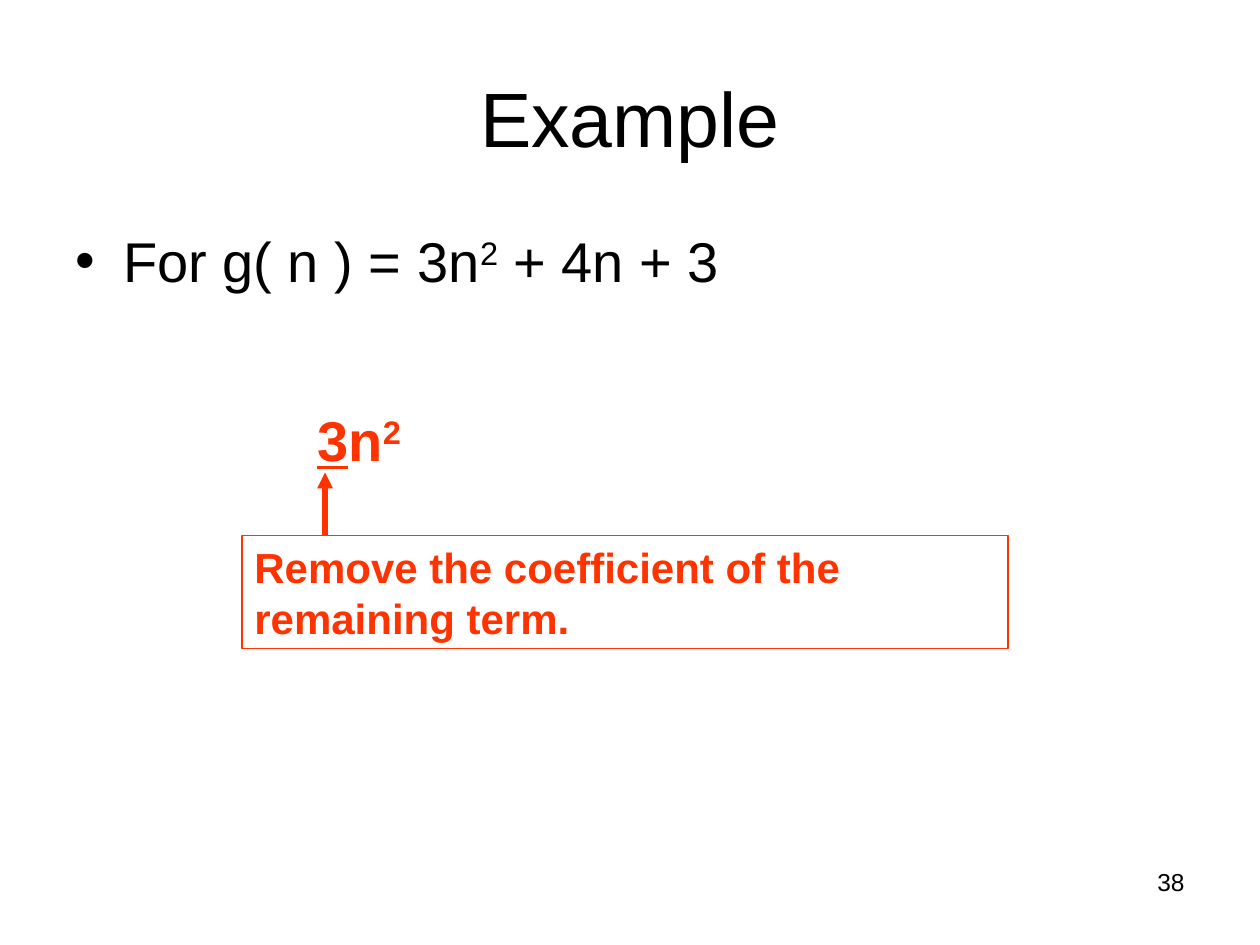
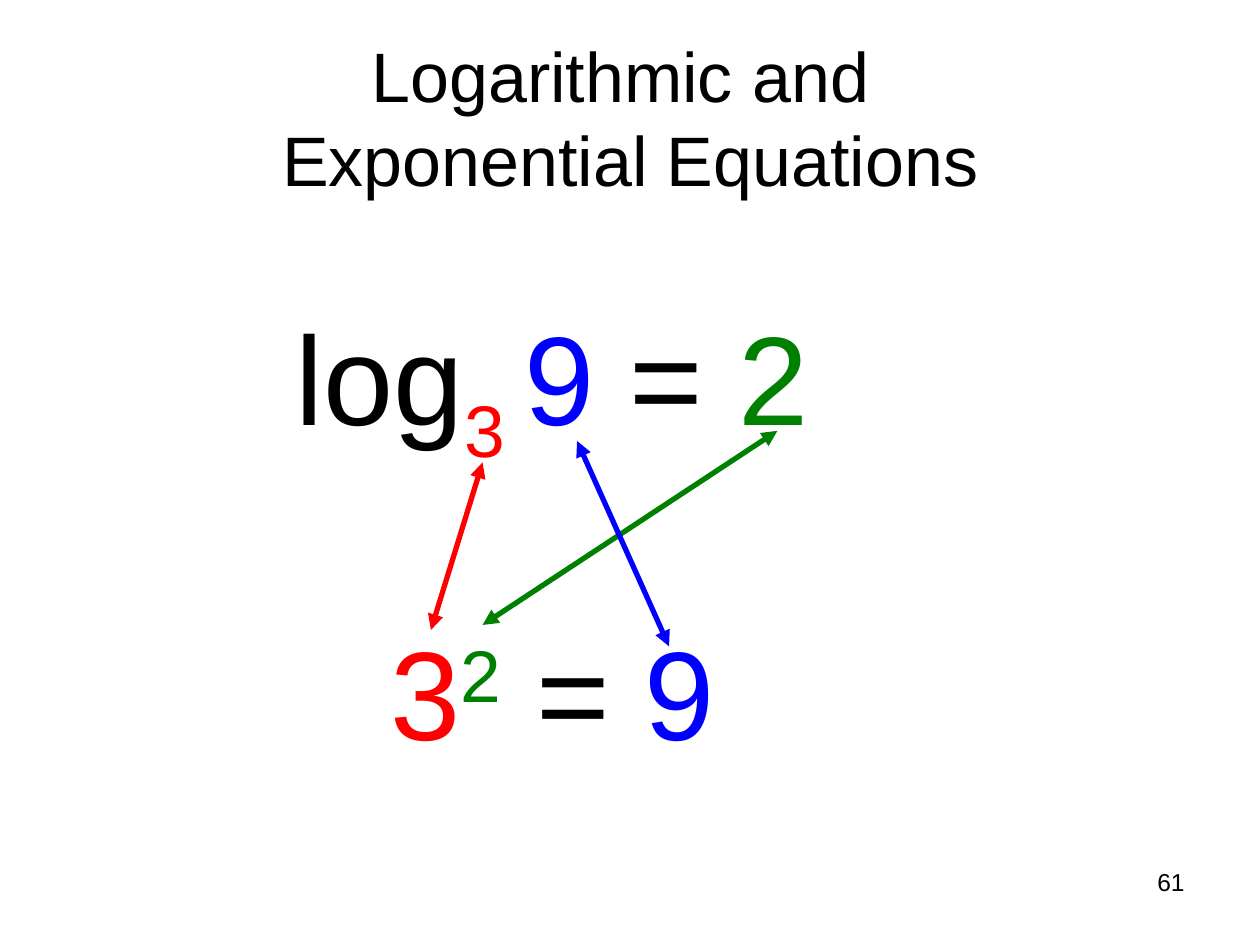
import pptx
import pptx.dml.color
import pptx.enum.shapes
import pptx.enum.text
import pptx.oxml.ns
import pptx.util
from lxml import etree

Inches = pptx.util.Inches
Pt = pptx.util.Pt
RGBColor = pptx.dml.color.RGBColor
ALIGN = pptx.enum.text.PP_ALIGN
ANCHOR = pptx.enum.text.MSO_ANCHOR

FONT = "Arial"
BLACK = RGBColor(0x00, 0x00, 0x00)
ORANGE = RGBColor(0xFF, 0x33, 0x00)
RED = RGBColor(0xFF, 0x00, 0x00)
GREEN = RGBColor(0x00, 0x80, 0x00)
BLUE = RGBColor(0x00, 0x00, 0xFF)


def add_element(parent, tag, **attributes):
    return etree.SubElement(parent, pptx.oxml.ns.qn(tag), **attributes)


class LectureDeck:
    """Holds the presentation, its text style and the slide being filled."""

    def __init__(self):
        self.deck = pptx.Presentation()
        self.deck.slide_width = Inches(10)
        self.deck.slide_height = Inches(7.5)
        self.slide = None

    def start_slide(self, title, title_size, number):
        self.slide = self.deck.slides.add_slide(self.deck.slide_layouts[6])
        heading = self.add_text((0.5, 0.3, 9, 1.25), [], align=ALIGN.CENTER, anchor=ANCHOR.MIDDLE)
        for index, line in enumerate(title.split("\n")):
            if index:
                heading.add_line_break()
            self.add_span(heading, line, title_size)
        self.add_text((7.17, 6.83, 2.33, 0.52), [(str(number), {})], size=14, align=ALIGN.RIGHT)

    def add_span(self, para, text, size, color=BLACK, bold=False, underline=False, baseline=0):
        """Add one run; baseline is a percentage, negative for a subscript."""
        span = para.add_run()
        span.text = text
        font = span.font
        font.name = FONT
        font.size = Pt(size)
        font.bold = bold
        font.underline = underline
        font.color.rgb = color
        if baseline:
            font._element.set("baseline", str(baseline * 1000))

    def fill_text(self, box, spans, size, align, anchor, space_before, **style):
        """Write (text, changes) spans, each changing the shared style."""
        frame = box.text_frame
        frame.word_wrap = True
        frame.vertical_anchor = anchor
        para = frame.paragraphs[0]
        para.alignment = align
        para.space_before = Pt(space_before)
        for text, changes in spans:
            self.add_span(para, text, size, **{**style, **changes})
        return para

    def add_text(self, area, spans, size=32, align=ALIGN.LEFT, anchor=ANCHOR.TOP,
                 space_before=0, **style):
        box = self.slide.shapes.add_textbox(*map(Inches, area))
        return self.fill_text(box, spans, size, align, anchor, space_before, **style)

    def add_bullet(self, area, spans):
        para = self.add_text(area, spans, space_before=8)
        properties = para._p.get_or_add_pPr()
        indent = Inches(0.38)
        properties.set("marL", str(indent))
        properties.set("indent", str(-indent))
        add_element(properties, "a:buFont", typeface=FONT)
        add_element(properties, "a:buChar", char="•")

    def add_framed_note(self, area, text, color):
        box = self.slide.shapes.add_shape(
            pptx.enum.shapes.MSO_SHAPE.RECTANGLE, *map(Inches, area))
        box.shadow.inherit = False
        box.fill.background()
        box.line.color.rgb = color
        box.line.width = Pt(0.75)
        self.fill_text(box, [(text, {})], 24, ALIGN.LEFT, ANCHOR.TOP, 15, color=color, bold=True)

    def add_arrow(self, start, end, color, both_ends=False):
        arrow = self.slide.shapes.add_connector(
            pptx.enum.shapes.MSO_CONNECTOR.STRAIGHT, *map(Inches, start + end))
        arrow.line.color.rgb = color
        arrow.line.width = Pt(3)
        outline = arrow.line._get_or_add_ln()
        if both_ends:
            add_element(outline, "a:headEnd", type="triangle")
        add_element(outline, "a:tailEnd", type="triangle")
        add_element(arrow._element.spPr, "a:effectLst")


def build_coefficient_slide(lecture):
    lecture.start_slide("Example", 44, 38)
    lecture.add_bullet((0.5, 1.75, 9, 4.95), [
        ("For g( n ) = 3n", {}), ("2", {"baseline": 30}), (" + 4n + 3", {})])
    lecture.add_text((2.42, 3.17, 5.25, 0.64), [
        ("3", {"underline": True}), ("n", {}), ("2", {"baseline": 30})],
        space_before=20, color=ORANGE, bold=True)
    lecture.add_framed_note((1.92, 4.25, 6.08, 0.9),
                            "Remove the coefficient of the remaining term.", ORANGE)
    lecture.add_arrow((2.58, 4.25), (2.58, 3.75), ORANGE)


def build_logarithm_slide(lecture):
    lecture.start_slide("Logarithmic and \nExponential Equations", 40, 61)
    base, exponent, result = {"color": RED}, {"color": GREEN}, {"color": BLUE}
    lecture.add_text((2.25, 2.33, 5.1, 1.25), [
        ("log", {}), ("3 ", {**base, "baseline": -25}), ("9", result),
        (" = ", {}), ("2", exponent)], size=72)
    lecture.add_text((3, 4.83, 3.21, 1.25), [
        ("3", base), ("2", {**exponent, "baseline": 30}),
        (" = ", {}), ("9", result)], size=72)
    for start, end, color in (
        ((3.83, 3.67), (3.42, 5), RED),
        ((6.17, 3.42), (3.83, 4.96), GREEN),
        ((4.58, 3.5), (5.31, 5.13), BLUE),
    ):
        lecture.add_arrow(start, end, color, both_ends=True)


def main():
    lecture = LectureDeck()
    build_coefficient_slide(lecture)
    build_logarithm_slide(lecture)
    lecture.deck.save("out.pptx")


if __name__ == "__main__":
    main()
